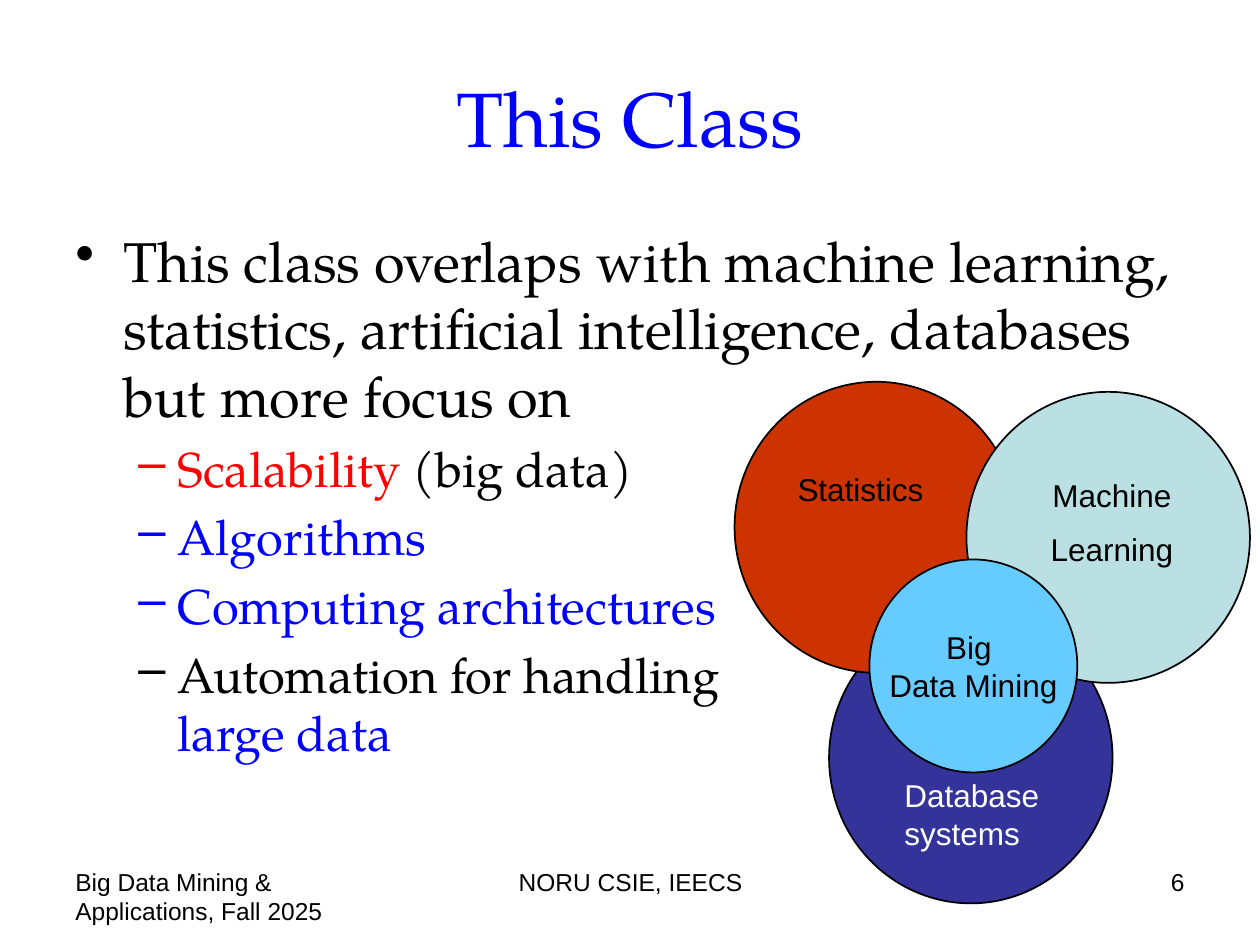
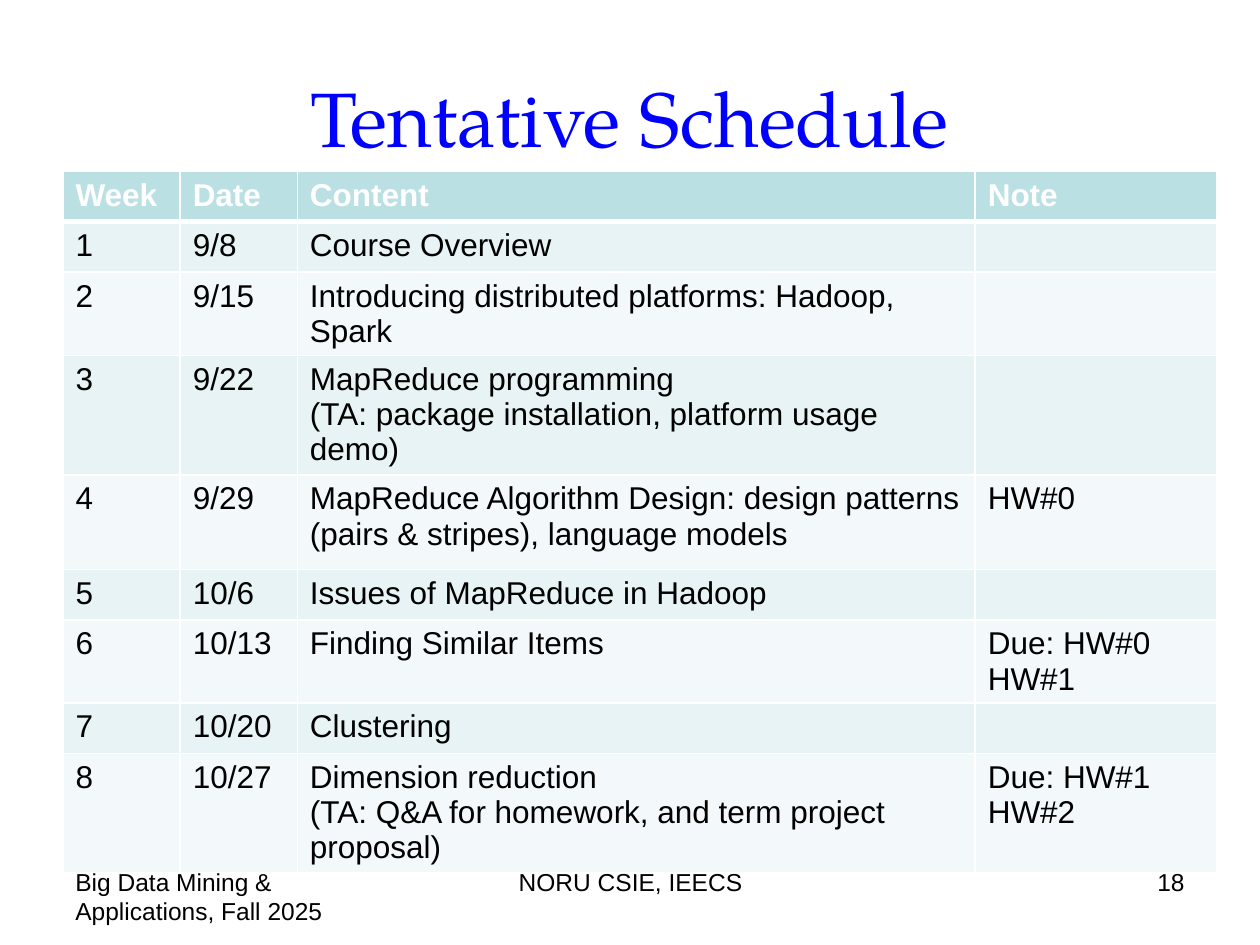
"""Build two class slides: a topic overlap chart and a weekly schedule."""
from dataclasses import dataclass
from typing import NamedTuple

from lxml.etree import SubElement
from pptx import Presentation
from pptx.dml.color import RGBColor
from pptx.enum.shapes import MSO_SHAPE
from pptx.enum.text import MSO_ANCHOR, PP_ALIGN
from pptx.oxml.ns import qn
from pptx.util import Inches, Pt

COLORS = {
    "black": "000000", "white": "FFFFFF", "blue": "0000FF", "red": "FF0000",
    "navy": "333399", "rust": "CC3300", "teal": "BBE0E3", "sky": "66CCFF",
    "odd": "E7F3F4", "even": "F3F9FA",
}
SERIF, SANS = "TeX Gyre Pagella", "Arial"
LEFT, MID, RIGHT = PP_ALIGN.LEFT, PP_ALIGN.CENTER, PP_ALIGN.RIGHT


class Box(NamedTuple):
    """Left, top, width and height in inches."""
    left: float
    top: float
    width: float
    height: float


@dataclass
class Circle:
    """A filled disc of the overlap chart."""
    box: Box
    color: str
    text: str = ""


@dataclass
class Label:
    """A loose text with its place and side."""
    box: Box
    text: str
    align: PP_ALIGN = LEFT
    color: str = "black"


@dataclass
class Bullet:
    """A list entry made of lines of (text, color) parts."""
    lines: list
    mark: str = "–"
    size: int = 28
    left: float = 0.81
    hang: float = 0.31


CIRCLES = [
    Circle(Box(6.58, 4.86, 2.25, 2.31), "navy"),
    Circle(Box(5.83, 3.03, 2.25, 2.31), "rust"),
    Circle(Box(7.67, 3.11, 2.25, 2.31), "teal"),
    Circle(Box(6.9, 4.44, 1.65, 1.69), "sky", "Big \nData Mining"),
]
LABELS = [
    Label(Box(7.7, 3.73, 2.25, 0.86), "Machine\nLearning", MID),
    Label(Box(6.08, 3.68, 1.5, 0.4), "Statistics", MID),
    Label(Box(7.08, 6.11, 1.58, 0.7), "Database systems", LEFT, "white"),
]
BULLETS = [
    Bullet([[("This class overlaps with machine learning, statistics, artificial "
              "intelligence, databases but more focus on", "black")]],
           "•", 32, 0.38, 0.38),
    Bullet([[("Scalability ", "red"), ("(big data)", "black")]]),
    Bullet([[("Algorithms", "blue")]]),
    Bullet([[("Computing architectures", "blue")]]),
    Bullet([[("Automation for handling", "black")], [("large data", "blue")]]),
]
WIDTHS = [0.93, 0.93, 5.38, 1.92]
HEIGHTS = [0.4, 0.4, 0.66, 0.93, 0.75, 0.4, 0.66, 0.4, 0.93]
ROWS = [
    ("Week", "Date", "Content", "Note"),
    ("1", "9/8", "Course Overview", ""),
    ("2", "9/15", "Introducing distributed platforms: Hadoop, Spark", ""),
    ("3", "9/22", "MapReduce programming\n"
     "(TA: package installation, platform usage demo)", ""),
    ("4", "9/29", "MapReduce Algorithm Design: design patterns "
     "(pairs & stripes), language models", "HW#0"),
    ("5", "10/6", "Issues of MapReduce in Hadoop", ""),
    ("6", "10/13", "Finding Similar Items", "Due: HW#0\nHW#1"),
    ("7", "10/20", "Clustering", ""),
    ("8", "10/27", "Dimension reduction\n"
     "(TA: Q&A for homework, and term project proposal)", "Due: HW#1 HW#2"),
]


def tint(name: str) -> RGBColor:
    """Look up a named color."""
    return RGBColor.from_string(COLORS[name])


def place(box: Box) -> list:
    """Turn a box into lengths."""
    return [Inches(side) for side in box]


def write(para, text: str, *, size: int = 18, color: str = "black",
          font: str = SANS, bold: bool = False, align: PP_ALIGN = LEFT,
          gap: float = 0) -> None:
    """Add a styled run, with a gap above as a share of its size."""
    para.alignment = align
    para.space_before = Pt(gap * size)
    run = para.add_run()
    run.text = text
    run.font.size, run.font.name, run.font.bold = Pt(size), font, bold
    run.font.color.rgb = tint(color)


def fill_text(frame, text: str, **style) -> None:
    """Write each line as its own paragraph."""
    for i, line in enumerate(text.split("\n")):
        write(frame.add_paragraph() if i else frame.paragraphs[0], line, **style)


def add_frame(slide, box: Box):
    """Add a wrapping text box and return its frame."""
    frame = slide.shapes.add_textbox(*place(box)).text_frame
    frame.word_wrap = True
    return frame


def add_label(slide, label: Label, **style) -> None:
    """Draw a loose text."""
    fill_text(add_frame(slide, label.box), label.text, align=label.align,
              color=label.color, **style)


def add_page(deck, title: str):
    """Start a blank slide with its title."""
    slide = deck.slides.add_slide(deck.slide_layouts[6])
    frame = add_frame(slide, Box(0.5, 0.3, 9, 1.25))
    frame.vertical_anchor = MSO_ANCHOR.MIDDLE
    fill_text(frame, title, size=44, color="blue", font=SERIF, align=MID)
    return slide


def add_foot(slide, number: int) -> None:
    """Draw the three footer texts."""
    top, height = 6.83, 0.52
    for label in (
        Label(Box(0.5, top, 2.33, height), "Big Data Mining & Applications, Fall 2025"),
        Label(Box(3.42, top, 3.17, height), "NORU CSIE, IEECS", MID),
        Label(Box(7.17, top, 2.33, height), str(number), RIGHT),
    ):
        add_label(slide, label, size=14)


def add_circle(slide, circle: Circle) -> None:
    """Draw a disc with a thin black rim."""
    shape = slide.shapes.add_shape(MSO_SHAPE.OVAL, *place(circle.box))
    shape.shadow.inherit = False
    shape.fill.solid()
    shape.fill.fore_color.rgb = tint(circle.color)
    shape.line.color.rgb, shape.line.width = tint("black"), Pt(1)
    if circle.text:
        shape.text_frame.word_wrap = False
        shape.text_frame.vertical_anchor = MSO_ANCHOR.MIDDLE
        fill_text(shape.text_frame, circle.text, align=MID)


def add_bullet(para, item: Bullet) -> None:
    """Write a list entry with its mark and hanging indent."""
    for i, line in enumerate(item.lines):
        if i:
            para.add_line_break()
        for text, color in line:
            write(para, text, size=item.size, color=color, font=SERIF, gap=0.2)
    props = para._p.get_or_add_pPr()
    props.set("marL", str(Inches(item.left)))
    props.set("indent", str(-Inches(item.hang)))
    SubElement(props, qn("a:buFontTx"))
    SubElement(props, qn("a:buChar")).set("char", item.mark)


def add_edge(cell, side: str, width: float) -> None:
    """Give one side of a cell a white line."""
    edge = SubElement(cell._tc.get_or_add_tcPr(), qn(f"a:ln{side}"), w=str(Pt(width)))
    SubElement(SubElement(edge, qn("a:solidFill")), qn("a:srgbClr"), val=COLORS["white"])


def add_plan(slide) -> None:
    """Draw the schedule table."""
    box = Box(0.5, 1.36, sum(WIDTHS), sum(HEIGHTS))
    table = slide.shapes.add_table(len(ROWS), len(WIDTHS), *place(box)).table
    table.first_row = table.horz_banding = False
    for col, width in zip(table.columns, WIDTHS):
        col.width = Inches(width)
    for i, (row, height, texts) in enumerate(zip(table.rows, HEIGHTS, ROWS)):
        row.height = Inches(height)
        head = i == 0
        shade = "teal" if head else "odd" if i % 2 else "even"
        for cell, text in zip(row.cells, texts):
            cell.margin_bottom = Inches(0)
            for side in "LRTB":
                thick = (i, side) in ((0, "B"), (1, "T"))
                add_edge(cell, side, 3 if thick else 1)
            cell.fill.solid()
            cell.fill.fore_color.rgb = tint(shade)
            if text:
                fill_text(cell.text_frame, text, bold=head,
                          color="white" if head else "black")


def main() -> None:
    """Build and save the deck."""
    deck = Presentation()
    deck.slide_width, deck.slide_height = Inches(10), Inches(7.5)

    topic = add_page(deck, "This Class")
    frame = add_frame(topic, Box(0.5, 1.75, 9, 4.95))
    for i, item in enumerate(BULLETS):
        add_bullet(frame.add_paragraph() if i else frame.paragraphs[0], item)
    add_foot(topic, 6)
    for circle in CIRCLES:
        add_circle(topic, circle)
    for label in LABELS:
        add_label(topic, label, gap=0.5)

    plan = add_page(deck, "Tentative Schedule")
    add_plan(plan)
    add_foot(plan, 18)
    deck.save("out.pptx")


if __name__ == "__main__":
    main()
